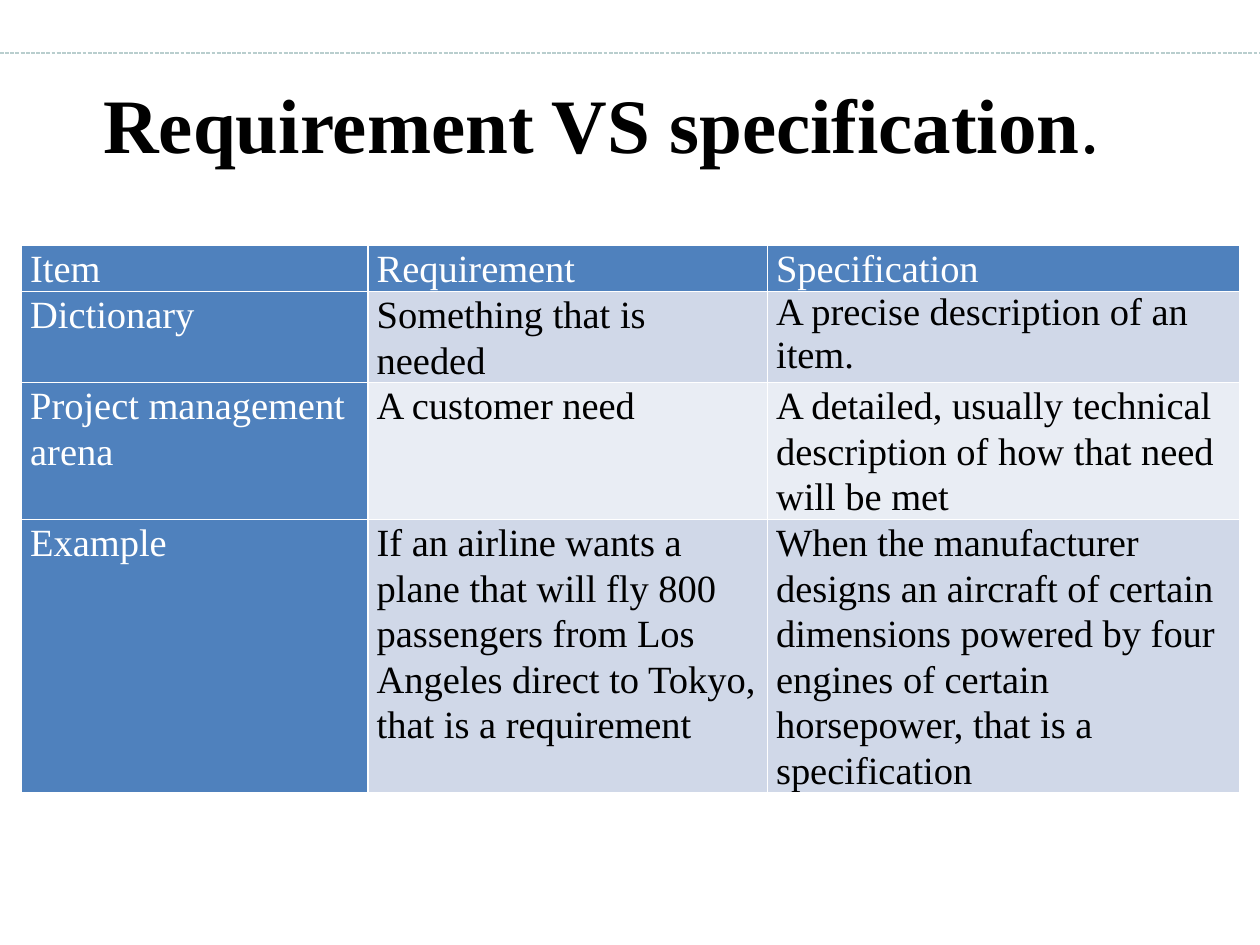
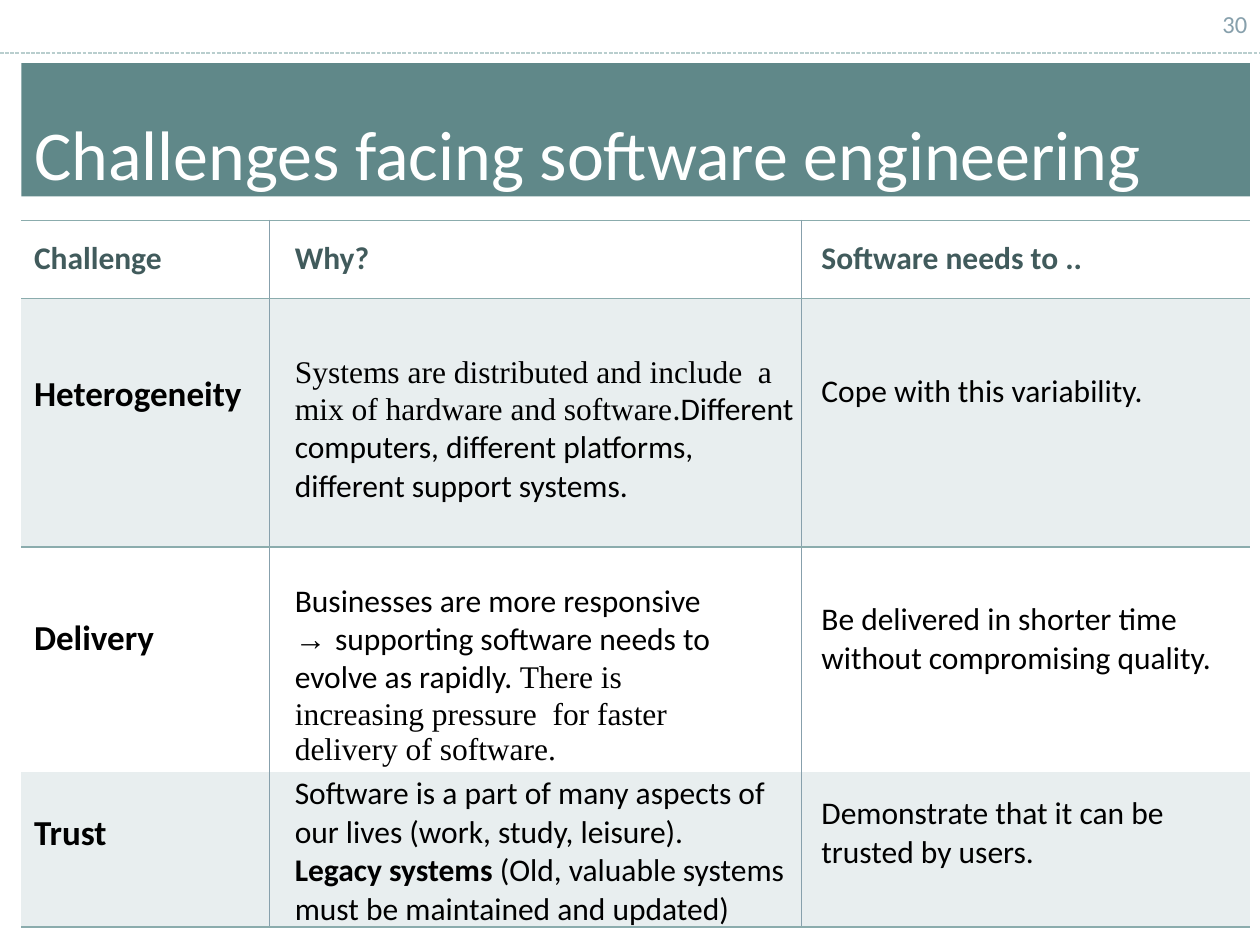
from pptx import Presentation, util as u
from pptx.dml.color import RGBColor
from pptx.enum import dml, shapes, text
from pptx.oxml.ns import qn
from lxml import etree

SERIF, SANS, ARROW_FONT = "Times New Roman", "Calibri", "Arial"
BLACK, WHITE = "000000", "FFFFFF"
BLUE, BLUE_TINT, BLUE_PALE = "4F81BD", "D0D8E8", "E9EDF4"
TEAL, TEAL_DARK, TEAL_RULE, TEAL_PALE = "608889", "415B5C", "8BACAD", "E8EEEF"
GREY, DASH = "87A0AC", "B9CECE"

COMPARISON = [
    ["Item", "Requirement", "Specification"],
    ["Dictionary", "Something that is needed", "A precise description of an item."],
    ["Project management arena", "A customer need",
     "A detailed, usually technical description of how that need will be met"],
    ["Example",
     "If an airline wants a plane that will fly 800 passengers from Los Angeles "
     "direct to Tokyo, that is a requirement",
     "When the manufacturer designs an aircraft of certain dimensions powered by "
     "four engines of certain horsepower, that is a specification"],
]

CHALLENGES = [
    [[["Challenge"]], [["Why?"]], [["Software needs to .."]]],
    [[["Heterogeneity"]],
     [[("Systems are distributed and include  a mix of hardware and software", SERIF),
       ".Different computers, different platforms, different support systems."]],
     [["Cope with this variability."]]],
    [[["Delivery"]],
     [["Businesses are more responsive"],
      [("→ ", ARROW_FONT), "supporting software needs to evolve as rapidly.",
       (" There is increasing pressure  for faster delivery of software.", SERIF)]],
     [["Be delivered in shorter time without compromising quality."]]],
    [[["Trust"]],
     [["Software is a part of many aspects of our lives (work, study, leisure)."],
      [("Legacy systems", SANS, True),
       " (Old, valuable systems must be maintained and updated)"]],
     [["Demonstrate that it can be trusted by users."]]],
]
CHALLENGE_TOPS = [[0.15, 0.15, 0.15], [0.59, 0.45, 0.59],
                  [0.56, 0.28, 0.43], [0.32, 0.02, 0.18]]
CHALLENGE_INDENTS = [0.1, 0.2, 0.16]


def rgb(value):
    return RGBColor.from_string(value)


def style(font, name, size, color, bold=False):
    font.name, font.size, font.bold = name, u.Pt(size), bold
    font.color.rgb = rgb(color)


def set_margins(target, left=0, top=0, right=0, bottom=0):
    target.margin_left, target.margin_top = u.Inches(left), u.Inches(top)
    target.margin_right, target.margin_bottom = u.Inches(right), u.Inches(bottom)


def add_header_line(s):
    y = u.Inches(0.42)
    line = s.shapes.add_connector(shapes.MSO_CONNECTOR.STRAIGHT, 0, y, u.Inches(10), y)
    line.line.color.rgb = rgb(DASH)
    line.line.width = u.Pt(0.75)
    line.line.dash_style = dml.MSO_LINE.SQUARE_DOT
    etree.SubElement(line._element.spPr, qn("a:effectLst"))


def add_title(s, box, runs, font, size, color, margins=(0, 0), fill=None):
    sp = s.shapes.title
    sp.left, sp.top, sp.width, sp.height = map(u.Inches, box)
    if fill:
        sp.fill.solid()
        sp.fill.fore_color.rgb = rgb(fill)
    tf = sp.text_frame
    tf.auto_size = text.MSO_AUTO_SIZE.NONE
    tf.vertical_anchor = text.MSO_ANCHOR.TOP
    set_margins(tf, *margins)
    p = tf.paragraphs[0]
    p.alignment = text.PP_ALIGN.LEFT
    for words, bold in runs:
        r = p.add_run()
        r.text = words
        style(r.font, font, size, color, bold)


def add_page_number(s, box, number):
    tf = s.shapes.add_textbox(*map(u.Inches, box)).text_frame
    set_margins(tf, top=0.01)
    p = tf.paragraphs[0]
    p.text = number
    p.alignment = text.PP_ALIGN.RIGHT
    style(p.font, SANS, 14, GREY)


def add_grid(s, left, top, widths, heights):
    frame = s.shapes.add_table(len(heights), len(widths), u.Inches(left), u.Inches(top),
                               u.Inches(sum(widths)), u.Inches(sum(heights)))
    table = frame.table
    for column, width in zip(table.columns, widths):
        column.width = u.Inches(width)
    for row, height in zip(table.rows, heights):
        row.height = u.Inches(height)
    return table


def paint_cell(cell, fill, borders):
    if fill:
        cell.fill.solid()
        cell.fill.fore_color.rgb = rgb(fill)
    else:
        cell.fill.background()
    tcPr = cell._tc.get_or_add_tcPr()
    for i, side in enumerate("LRTB"):
        ln = etree.Element(qn(f"a:ln{side}"), w=str(u.Pt(1)))
        color = borders.get(side)
        if color:
            solid = etree.SubElement(ln, qn("a:solidFill"))
            etree.SubElement(solid, qn("a:srgbClr"), val=color)
        else:
            etree.SubElement(ln, qn("a:noFill"))
        tcPr.insert(i, ln)


def add_comparison_table(s, left, top):
    table = add_grid(s, left, top, [2.75, 3.17, 3.75], [0.35, 0.72, 1.08, 2.17])
    for i, row in enumerate(COMPARISON):
        for j, words in enumerate(row):
            cell = table.cell(i, j)
            heading = i == 0 or j == 0
            band = BLUE_TINT if i % 2 else BLUE_PALE
            paint_cell(cell, BLUE if heading else band, dict.fromkeys("LRTB", WHITE))
            set_margins(cell, left=0.07, right=0.07)
            p = cell.text_frame.paragraphs[0]
            p.text = words
            p.line_spacing = 1.0 if (i, j) == (1, 2) else 1.07
            style(p.font, SERIF, 22, WHITE if heading else BLACK)


def fill_paragraph(p, runs, size, color, bold):
    for run in runs:
        words, font, strong = run, SANS, bold
        if isinstance(run, tuple):
            words, font, strong = (*run, bold)[:3]
        r = p.add_run()
        r.text = words
        style(r.font, font, size, color, strong)


def add_challenge_table(s, left, top):
    table = add_grid(s, left, top, [1.97, 4.22, 3.56], [0.62, 1.97, 1.79, 1.23])
    for i, row in enumerate(CHALLENGES):
        for j, paragraphs in enumerate(row):
            cell = table.cell(i, j)
            borders = {"L": GREY if j > 0 else None,
                       "R": GREY if j < 2 else None,
                       "T": TEAL_RULE if i < 3 else None,
                       "B": TEAL_RULE if i != 2 else None}
            paint_cell(cell, TEAL_PALE if i % 2 else None, borders)
            set_margins(cell, left=CHALLENGE_INDENTS[j], top=CHALLENGE_TOPS[i][j],
                        right=0.6 if (i, j) == (2, 1) else 0)
            size = 20 if i > 0 and j == 0 else 18
            color = BLACK if i else TEAL_DARK
            tf = cell.text_frame
            for k, runs in enumerate(paragraphs):
                p = tf.add_paragraph() if k else tf.paragraphs[0]
                fill_paragraph(p, runs, size, color, i == 0 or j == 0)


def add_base_slide(prs):
    s = prs.slides.add_slide(prs.slide_layouts[5])
    add_header_line(s)
    return s


def build_comparison_slide(prs):
    s = add_base_slide(prs)
    add_title(s, (0.82, 0.61, 8.35, 1.48),
              [("Requirement VS specification", True), (".", False)], SERIF, 44, BLACK)
    add_comparison_table(s, 0.17, 1.95)


def build_challenges_slide(prs):
    s = add_base_slide(prs)
    add_page_number(s, (9.6, 0.06, 0.3, 0.25), "30")
    add_title(s, (0.17, 0.5, 9.75, 1.06),
              [("Challenges facing software engineering", False)],
              SANS, 40, WHITE, margins=(0.1, 0.38), fill=TEAL)
    add_challenge_table(s, 0.17, 1.75)


def main():
    prs = Presentation()
    prs.slide_width, prs.slide_height = u.Inches(10), u.Inches(7.5)
    build_comparison_slide(prs)
    build_challenges_slide(prs)
    prs.save("out.pptx")


if __name__ == "__main__":
    main()
